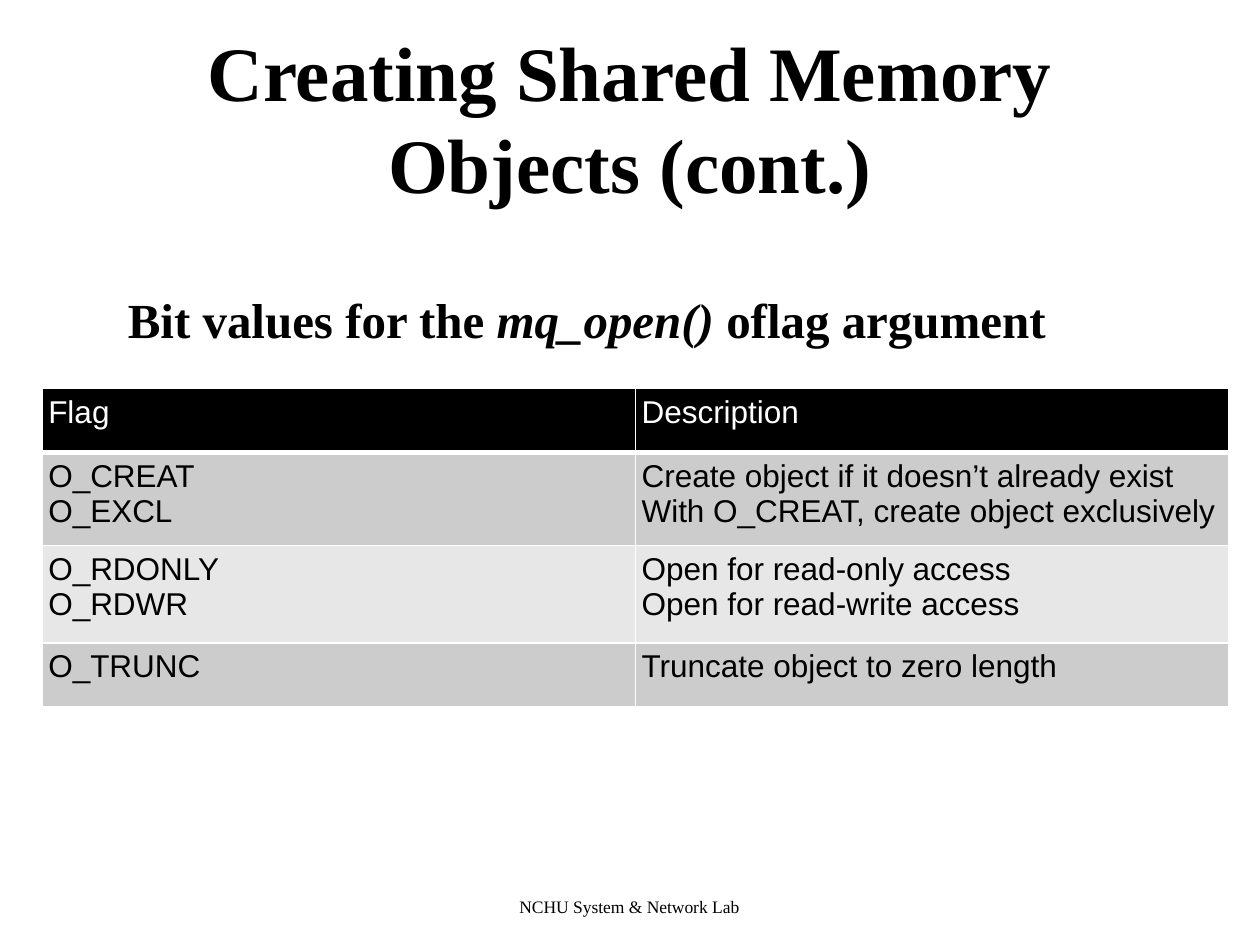
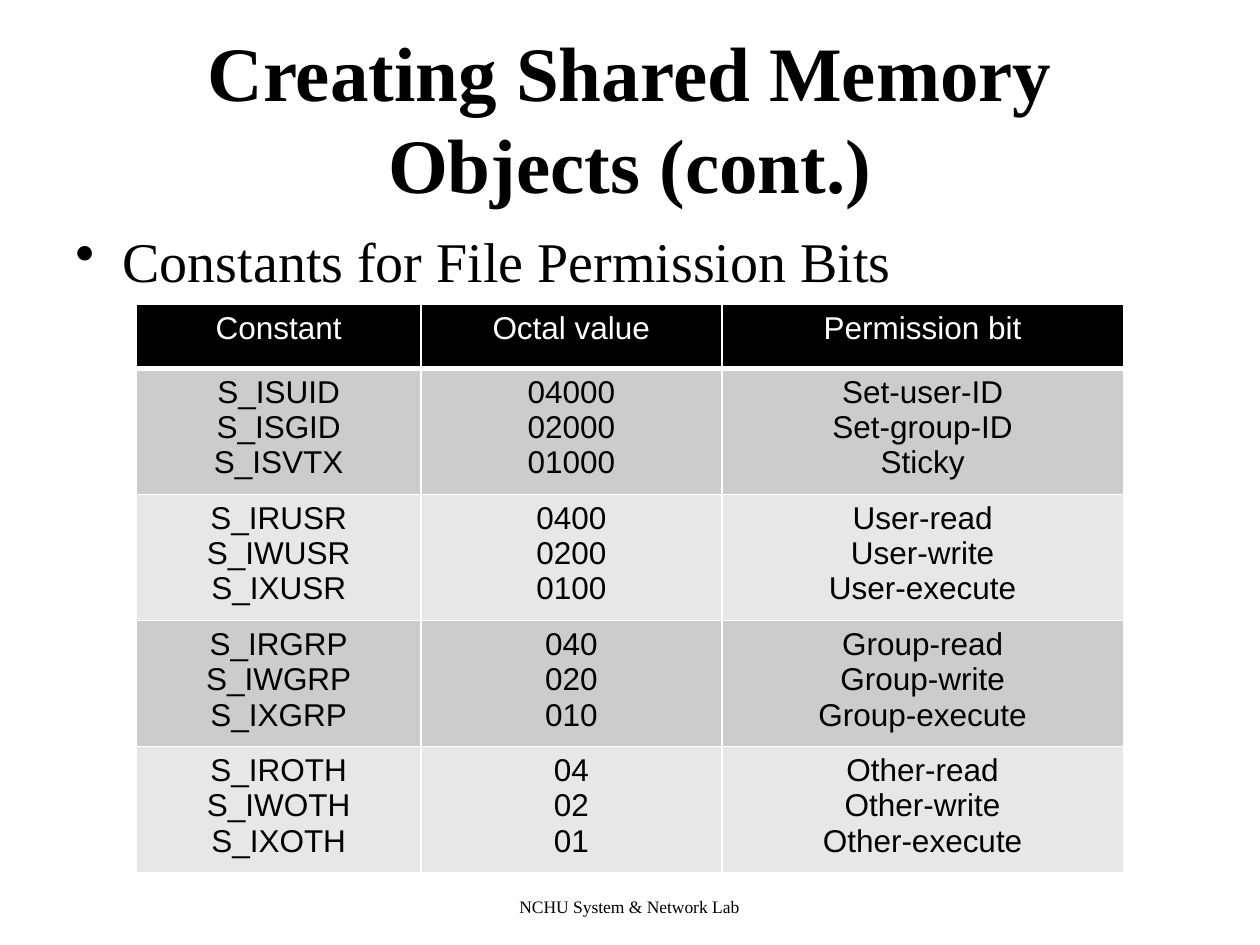
from lxml.etree import SubElement as Sub
from pptx import Presentation
from pptx.dml.color import RGBColor
from pptx.enum.text import MSO_ANCHOR as Anchor, PP_ALIGN as Align
from pptx.oxml.ns import qn
from pptx.util import Pt

# Shared look
BLACK = RGBColor(0, 0, 0)
WHITE = RGBColor(255, 255, 255)
DARK = RGBColor(0xCC, 0xCC, 0xCC)
LIGHT = RGBColor(0xE7, 0xE7, 0xE7)
SERIF, SANS = "Times New Roman", "Arial"
TITLE = "Creating Shared Memory Objects (cont.)"
FOOTER = "NCHU System & Network Lab"

# Table rows: one tuple of cells per row, one line per paragraph
FLAGS = [
    ("Flag", "Description"),
    ("O_CREAT\nO_EXCL",
     "Create object if it doesn’t already exist\n"
     "With O_CREAT, create object exclusively"),
    ("O_RDONLY\nO_RDWR",
     "Open for read-only access\nOpen for read-write access"),
    ("O_TRUNC", "Truncate object to zero length"),
]
BITS = [
    ("Constant", "Octal value", "Permission bit"),
    ("S_ISUID\nS_ISGID\nS_ISVTX", "04000\n02000\n01000",
     "Set-user-ID\nSet-group-ID\nSticky"),
    ("S_IRUSR\nS_IWUSR\nS_IXUSR", "0400\n0200\n0100",
     "User-read\nUser-write\nUser-execute"),
    ("S_IRGRP\nS_IWGRP\nS_IXGRP", "040\n020\n010",
     "Group-read\nGroup-write\nGroup-execute"),
    ("S_IROTH\nS_IWOTH\nS_IXOTH", "04\n02\n01",
     "Other-read\nOther-write\nOther-execute"),
]


def style(para, size, face=SERIF, color=BLACK, bold=False, align=Align.LEFT):
    font = para.font
    font.size, font.name, font.bold = Pt(size), face, bold
    font.color.rgb = color
    para.alignment = align


def add_text(slide, box, parts, size, anchor=Anchor.TOP, **look):
    """Add a one-paragraph text box; parts are (text, italic) pairs."""
    frame = slide.shapes.add_textbox(*map(Pt, box)).text_frame
    frame.word_wrap = True
    frame.vertical_anchor = anchor
    para = frame.paragraphs[0]
    for text, slant in parts:
        run = para.add_run()
        run.text = text
        if slant:
            run.font.italic = True
    style(para, size, **look)
    return para


def add_bullet(para, indent):
    props = para._p.get_or_add_pPr()
    props.set("marL", str(Pt(indent)))
    props.set("indent", str(-Pt(indent)))
    mark = props.makeelement(qn("a:buChar"), {"char": "•"})
    props.insert_element_before(mark, "a:tabLst", "a:defRPr", "a:extLst")


def add_edges(cell, head):
    props = cell._tc.get_or_add_tcPr()
    for side in "LRTB":
        width = 3 if head and side == "B" else 1
        line = Sub(props, qn(f"a:ln{side}"), w=str(Pt(width)))
        fill = Sub(line, qn("a:solidFill"))
        Sub(fill, qn("a:srgbClr"), val=str(WHITE))


def fill_cell(cell, text, row, align):
    head = row == 0
    add_edges(cell, head)
    cell.fill.solid()
    cell.fill.fore_color.rgb = BLACK if head else DARK if row % 2 else LIGHT
    cell.margin_left = cell.margin_right = Pt(3.6)
    cell.margin_top = cell.margin_bottom = Pt(3.6)
    cell.text = text
    for para in cell.text_frame.paragraphs:
        style(para, 18, SANS, WHITE if head else BLACK, align=align)


def add_grid(slide, left, top, widths, heights, data, align=Align.LEFT):
    shape = slide.shapes.add_table(
        len(heights), len(widths), Pt(left), Pt(top),
        Pt(sum(widths)), Pt(sum(heights)))
    table = shape.table
    for col, width in zip(table.columns, widths):
        col.width = Pt(width)
    for r, (height, texts) in enumerate(zip(heights, data)):
        table.rows[r].height = Pt(height)
        for c, text in enumerate(texts):
            fill_cell(table.cell(r, c), text, r, align)


def add_page(deck):
    """Add a blank slide with the shared title and footer."""
    slide = deck.slides.add_slide(deck.slide_layouts[6])
    title = add_text(slide, (36, 21.6, 648, 90), [(TITLE, False)], 44,
                     Anchor.MIDDLE, bold=True, align=Align.CENTER)
    title.line_spacing = Pt(52.5)
    add_text(slide, (206.6, 508.3, 306, 17.3), [(FOOTER, False)], 10,
             align=Align.CENTER)
    return slide


def main():
    deck = Presentation()
    deck.slide_width, deck.slide_height = Pt(720), Pt(540)

    # Open flags
    page = add_page(deck)
    add_grid(page, 24, 222, [339, 339], [36.6, 53.2, 55.6, 36.6], FLAGS)
    add_text(page, (66, 162, 618, 41),
             [("Bit values for the ", False), ("mq_open() ", True),
              ("oflag argument", False)], 28, bold=True)

    # Permission bits
    page = add_page(deck)
    para = add_text(page, (36, 126, 648, 356.4),
                    [("Constants for File Permission Bits", False)], 32)
    para.space_before = Pt(3)
    add_bullet(para, 27)
    add_grid(page, 78, 174, [162.5, 172, 229.5], [36.6] + [72] * 4, BITS,
             Align.CENTER)

    deck.save("out.pptx")


if __name__ == "__main__":
    main()
